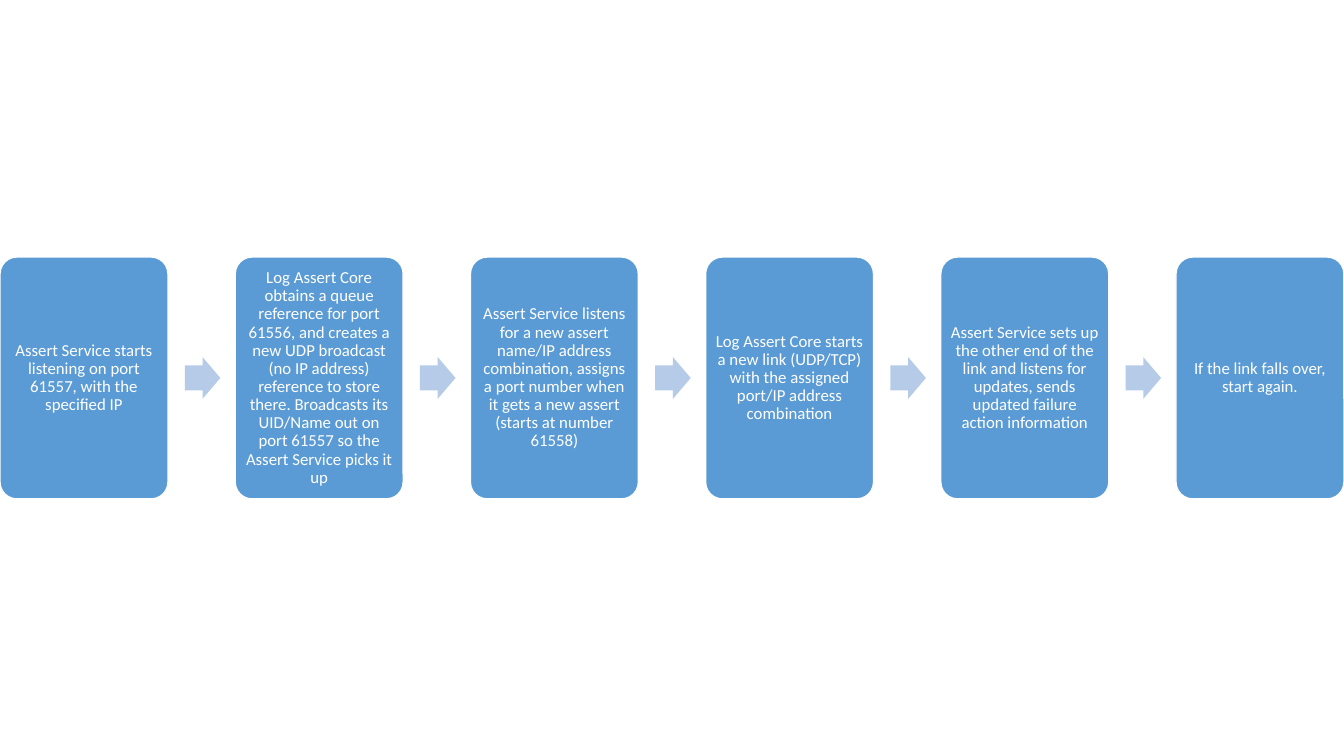
import pptx
import pptx.util
import pptx.dml.color
import pptx.enum.shapes
import pptx.enum.text

Pt = pptx.util.Pt
SHAPES = pptx.enum.shapes.MSO_SHAPE


def color(value):
    return pptx.dml.color.RGBColor.from_string(value)


class FlowSlide:
    font = "Calibri"
    size = 12
    box_fill = "5B9BD5"
    arrow_fill = "B5CBE7"
    white = "FFFFFF"

    def __init__(self, prs):
        self.s = prs.slides.add_slide(prs.slide_layouts[6])

    def shape(self, kind, x, y, w, h, fill, adjustments):
        sp = self.s.shapes.add_shape(kind, Pt(x), Pt(y), Pt(w), Pt(h))
        sp.shadow.inherit = False
        sp.fill.solid()
        sp.fill.fore_color.rgb = color(fill)
        for i, value in enumerate(adjustments):
            sp.adjustments[i] = value
        return sp

    def step(self, x, y, w, h, text):
        sp = self.shape(SHAPES.ROUNDED_RECTANGLE, x, y, w, h, self.box_fill, [0.1])
        sp.line.color.rgb = color(self.white)
        sp.line.width = Pt(1)
        tf = sp.text_frame
        tf.text = text
        tf.word_wrap = True
        tf.vertical_anchor = pptx.enum.text.MSO_ANCHOR.MIDDLE
        tf.margin_left = tf.margin_right = tf.margin_top = tf.margin_bottom = Pt(3.7)
        p = tf.paragraphs[0]
        p.alignment = pptx.enum.text.PP_ALIGN.CENTER
        p.line_spacing = 0.9
        p.space_after = Pt(0.35 * self.size)
        r = p.runs[0]
        r.font.name = self.font
        r.font.size = Pt(self.size)
        r.font.color.rgb = color(self.white)

    def arrow(self, x, y, w, h):
        sp = self.shape(SHAPES.RIGHT_ARROW, x, y, w, h, self.arrow_fill, [0.6, 0.5])
        sp.line.fill.background()


STEPS = [
    "Assert Service starts listening on port 61557, with the specified IP",
    "Log Assert Core obtains a queue reference for port 61556, and creates a new "
    "UDP broadcast (no IP address) reference to store there. Broadcasts its "
    "UID/Name out on port 61557 so the Assert Service picks it up",
    "Assert Service listens for a new assert name/IP address combination, assigns "
    "a port number when it gets a new assert (starts at number 61558)",
    "Log Assert Core starts a new link (UDP/TCP) with the assigned port/IP "
    "address combination",
    "Assert Service sets up the other end of the link and listens for updates, "
    "sends updated failure action information",
    "If the link falls over, start again.",
]


def main():
    prs = pptx.Presentation()
    prs.slide_width, prs.slide_height = Pt(960), Pt(540)
    flow = FlowSlide(prs)
    box_w, box_h, pitch = 120, 172.8, 168
    arrow_w, arrow_h = 25.4, 29.8
    middle = 270
    for i, text in enumerate(STEPS):
        x = i * pitch
        flow.step(x, middle - box_h / 2, box_w, box_h, text)
        if i < len(STEPS) - 1:
            flow.arrow(x + box_w + 12, middle - arrow_h / 2, arrow_w, arrow_h)
    prs.save("out.pptx")


if __name__ == "__main__":
    main()
